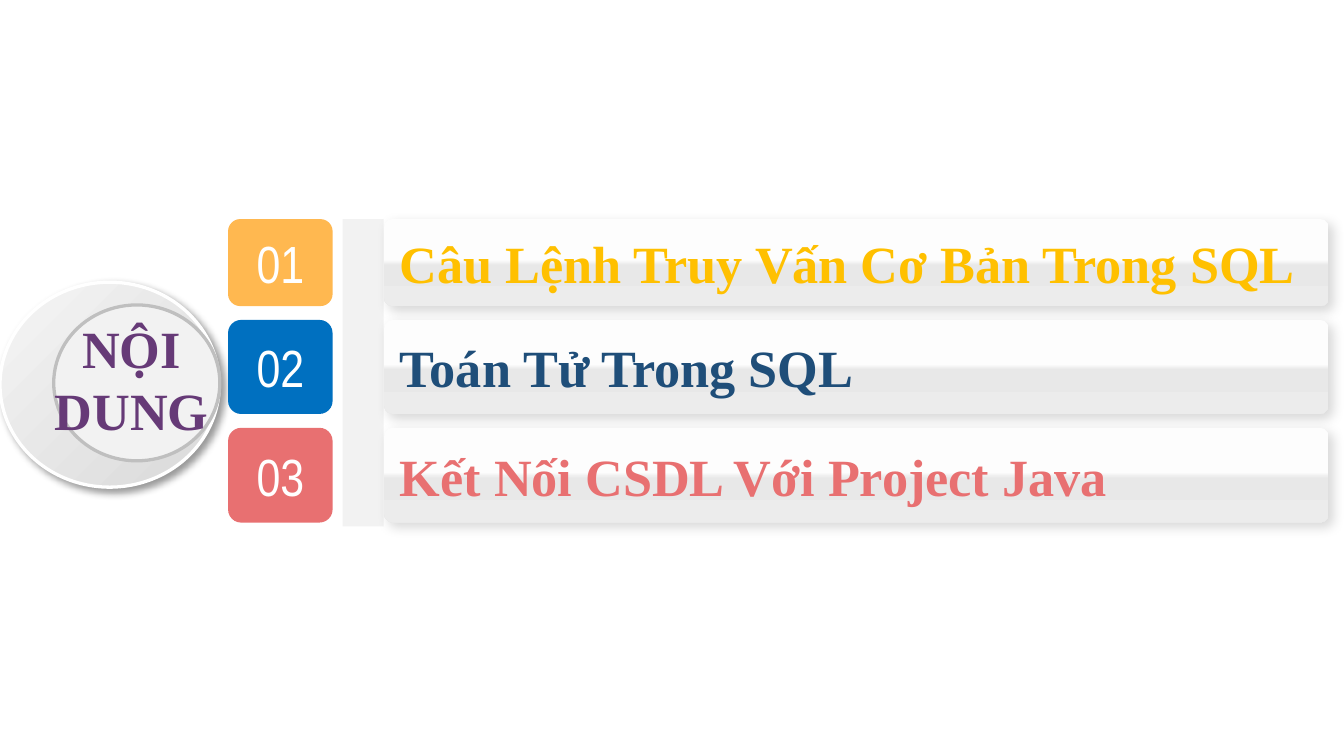
from pptx import Presentation
from pptx.dml.color import RGBColor
from pptx.enum.shapes import MSO_SHAPE
from pptx.enum.text import MSO_ANCHOR, MSO_AUTO_SIZE, PP_ALIGN
from pptx.oxml import parse_xml
from pptx.oxml.ns import nsdecls, qn
from pptx.util import Pt

OVAL, RECT, ROUND = MSO_SHAPE.OVAL, MSO_SHAPE.RECTANGLE, MSO_SHAPE.ROUNDED_RECTANGLE
LEFT, CENTER = PP_ALIGN.LEFT, PP_ALIGN.CENTER
TOP, MIDDLE = MSO_ANCHOR.TOP, MSO_ANCHOR.MIDDLE
TITLE_ONLY = 5

SERIF, NARROW = "Times New Roman", "Arial Narrow"
GLOSS = [(47, "FDFDFD"), (53, "E8E8E8"), (100, "ECECEC")]
DISC = [(0, "F5F5F5"), (100, "D9D9D9")]


def rgb(value):
    return RGBColor.from_string(value)


class Slide:
    """Holds the text style and the slide being built."""

    size = 28

    def __init__(self, prs):
        self.s = prs.slides.add_slide(prs.slide_layouts[TITLE_ONLY])

    def shape(self, kind, box, fill=None, line=None, adj=None):
        sp = self.s.shapes.add_shape(kind, *map(Pt, box))
        sp.shadow.inherit = False
        if adj is not None:
            sp.adjustments[0] = adj
        if fill:
            sp.fill.solid()
            sp.fill.fore_color.rgb = rgb(fill)
        if line:
            sp.line.color.rgb = rgb(line)
            sp.line.width = Pt(1.75)
        else:
            sp.line.fill.background()
        return sp

    def gradient(self, sp, stops, angle):
        """Fill with (percent, colour) stops, the angle running clockwise."""
        sp.fill.gradient()
        spPr = sp._element.spPr
        gs = "".join(f'<a:gs pos="{pos * 1000}"><a:srgbClr val="{color}"/></a:gs>'
                     for pos, color in stops)
        spPr.replace(spPr.find(qn("a:gradFill")), parse_xml(
            f'<a:gradFill {nsdecls("a")} rotWithShape="1"><a:gsLst>{gs}</a:gsLst>'
            f'<a:lin ang="{angle * 60000}" scaled="0"/></a:gradFill>'))

    def shadow(self, sp, alpha, blur, dist):
        sp._element.spPr.find(qn("a:effectLst")).append(parse_xml(
            f'<a:outerShdw {nsdecls("a")} blurRad="{Pt(blur)}" dist="{Pt(dist)}" '
            f'dir="2700000" algn="tl" rotWithShape="0"><a:srgbClr val="000000">'
            f'<a:alpha val="{alpha * 1000}"/></a:srgbClr></a:outerShdw>'))

    def text(self, sp, words, font, color, bold=False, align=CENTER, anchor=MIDDLE):
        tf = sp.text_frame
        tf.word_wrap = True
        tf.auto_size = MSO_AUTO_SIZE.NONE
        tf.vertical_anchor = anchor
        p = tf.paragraphs[0]
        p.alignment = align
        r = p.add_run()
        r.text = words
        r.font.name, r.font.size, r.font.bold = font, Pt(self.size), bold
        r.font.color.rgb = rgb(color)

    def title(self, words, box, color):
        """Place the title in front of the shapes added so far."""
        sp = self.s.shapes.title
        sp.left, sp.top, sp.width, sp.height = map(Pt, box)
        self.text(sp, words, SERIF, color, bold=True, anchor=TOP)
        sp._element.getparent().append(sp._element)

    def number(self, words, box, fill):
        sp = self.shape(ROUND, box, fill, adj=0.139)
        self.text(sp, words, NARROW, "FFFFFF")

    def bar(self, words, box, color):
        sp = self.shape(ROUND, box, adj=0.092)
        self.gradient(sp, GLOSS, 90)
        self.shadow(sp, 14, 6, 3)
        self.text(sp, words, SERIF, color, bold=True, align=LEFT)


def main():
    prs = Presentation()
    prs.slide_width, prs.slide_height = Pt(720), Pt(405)
    slide = Slide(prs)

    disc = slide.shape(OVAL, (0, 151.2, 117.5, 109.8), line="FFFFFF")
    slide.gradient(disc, DISC, 45)
    slide.shadow(disc, 40, 4, 3)
    slide.shape(OVAL, (28.8, 163.4, 89, 83.5), "F2F2F2", "BFBFBF")
    slide.title("NỘI DUNG", (12.2, 165.6, 116.6, 74.2), "663A77")

    slide.shape(RECT, (183.6, 117.4, 22, 164.6), "F2F2F2")
    # words, top, height, number fill, text colour
    topics = [
        ("Câu Lệnh Truy Vấn Cơ Bản Trong SQL", 117.4, 46.6, "FFB850", "FFC000"),
        ("Toán Tử Trong SQL", 171.4, 50.4, "0070C0", "1F4E79"),
        ("Kết Nối CSDL Với Project Java", 229.2, 50.8, "E87071", "E87071"),
    ]
    for i, (words, top, height, fill, color) in enumerate(topics, 1):
        slide.number(f"{i:02}", (122.2, top, 56, height), fill)
        slide.bar(words, (205.8, top, 506, height), color)

    prs.save("out.pptx")


if __name__ == "__main__":
    main()
